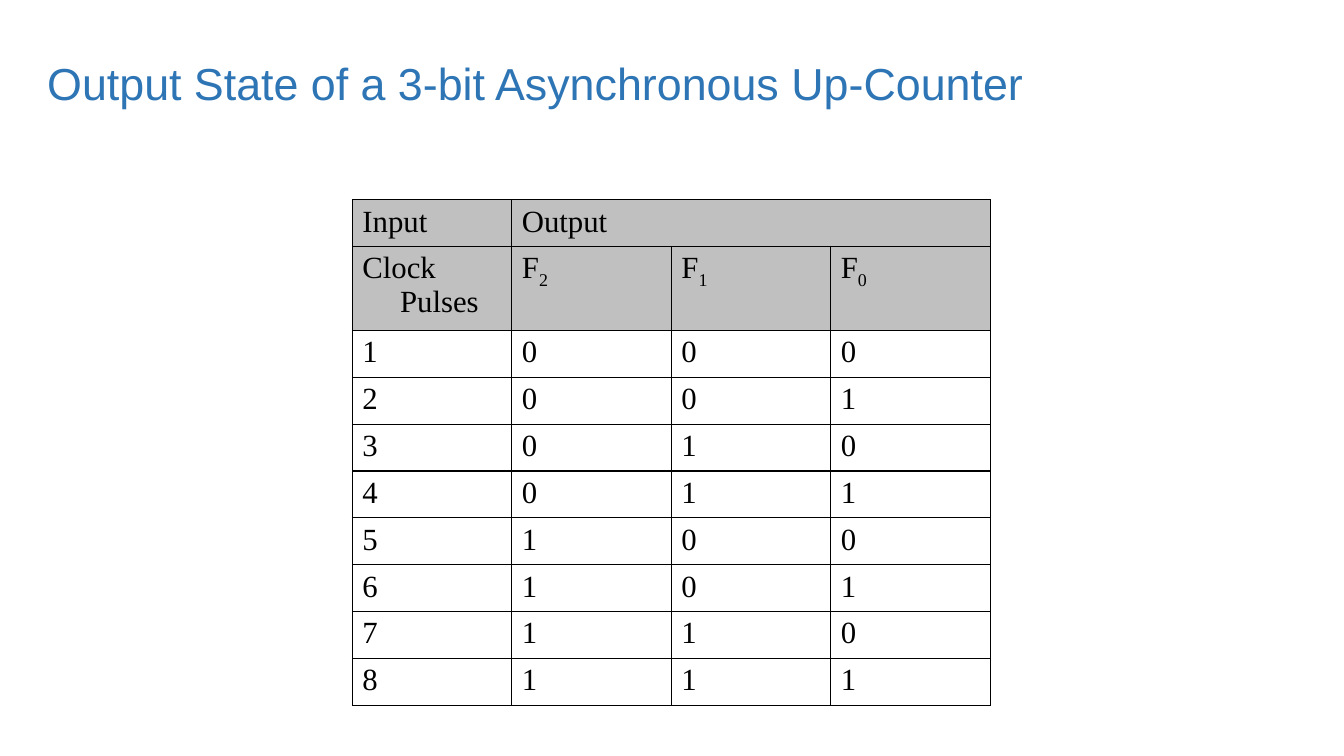
from dataclasses import dataclass
from lxml.etree import SubElement
from pptx import Presentation
from pptx.dml.color import RGBColor
from pptx.enum.text import MSO_AUTO_SIZE, PP_ALIGN
from pptx.oxml.ns import qn
from pptx.util import Cm, Pt


@dataclass(frozen=True)
class Theme:
    blue: str = "2E75B5"
    black: str = "000000"
    gray: str = "C0C0C0"
    head_font: str = "Arial"
    cell_font: str = "Times New Roman"
    head_size: float = 32
    cell_size: float = 22
    rule: float = 1
    hang: float = 0.95


class Page:
    def __init__(self, slide, theme):
        self.slide = slide
        self.theme = theme

    def style(self, para, name, size, color):
        font = para.font
        font.name = name
        font.size = Pt(size)
        font.color.rgb = RGBColor.from_string(color)

    def title(self, text, left, top, width, height):
        box = self.slide.shapes.add_textbox(Cm(left), Cm(top), Cm(width), Cm(height))
        frame = box.text_frame
        frame.word_wrap = True
        frame.auto_size = MSO_AUTO_SIZE.SHAPE_TO_FIT_TEXT
        para = frame.paragraphs[0]
        para.text = text
        self.style(para, self.theme.head_font, self.theme.head_size, self.theme.blue)

    def border(self, cell):
        props = cell._tc.get_or_add_tcPr()
        for side in ("lnL", "lnR", "lnT", "lnB"):
            line = SubElement(props, qn(f"a:{side}"), w=str(Pt(self.theme.rule)))
            fill = SubElement(line, qn("a:solidFill"))
            SubElement(fill, qn("a:srgbClr"), val=self.theme.black)

    def cell(self, cell, text, shaded):
        self.border(cell)
        if shaded:
            cell.fill.solid()
            cell.fill.fore_color.rgb = RGBColor.from_string(self.theme.gray)
        else:
            cell.fill.background()
        para = cell.text_frame.paragraphs[0]
        para.alignment = PP_ALIGN.JUSTIFY
        props = para._p.get_or_add_pPr()
        props.set("marL", str(Cm(self.theme.hang)))
        props.set("indent", str(-Cm(self.theme.hang)))
        # An underscore marks the start of a subscript
        base, _, sub = text.partition("_")
        if base:
            para.add_run().text = base
        if sub:
            run = para.add_run()
            run.text = sub
            run._r.get_or_add_rPr().set("baseline", "-25000")
        self.style(para, self.theme.cell_font, self.theme.cell_size, self.theme.black)

    def table(self, rows, heads, left, top, width, heights):
        count = len(rows[0])
        frame = self.slide.shapes.add_table(
            len(rows), count, Cm(left), Cm(top), Cm(width * count), Cm(sum(heights)))
        table = frame.table
        table.first_row = False
        table.horz_banding = False
        for col in table.columns:
            col.width = Cm(width)
        for r, (row, height) in enumerate(zip(rows, heights)):
            table.rows[r].height = Cm(height)
            for c, text in enumerate(row):
                self.cell(table.cell(r, c), text, r < heads)
        return table


def main():
    deck = Presentation()
    deck.slide_width, deck.slide_height = Cm(33.87), Cm(19.05)
    page = Page(deck.slides.add_slide(deck.slide_layouts[6]), Theme())

    # State table: each pulse shows the next three-bit number
    bits = 3
    states = [[str(n + 1), *f"{n:0{bits}b}"] for n in range(2 ** bits)]
    heads = [
        ["Input", "Output", "", ""],
        ["Clock Pulses", "F_2", "F_1", "F_0"],
    ]
    heights = [1.18, 2.12] + [1.18] * len(states)
    table = page.table(heads + states, len(heads), 8.88, 5.03, 4.02, heights)
    table.cell(0, 1).merge(table.cell(0, bits))

    # Title
    page.title("Output State of a 3-bit Asynchronous Up-Counter", 0.94, 1.27, 28.63, 1.63)

    deck.save("out.pptx")


if __name__ == "__main__":
    main()
